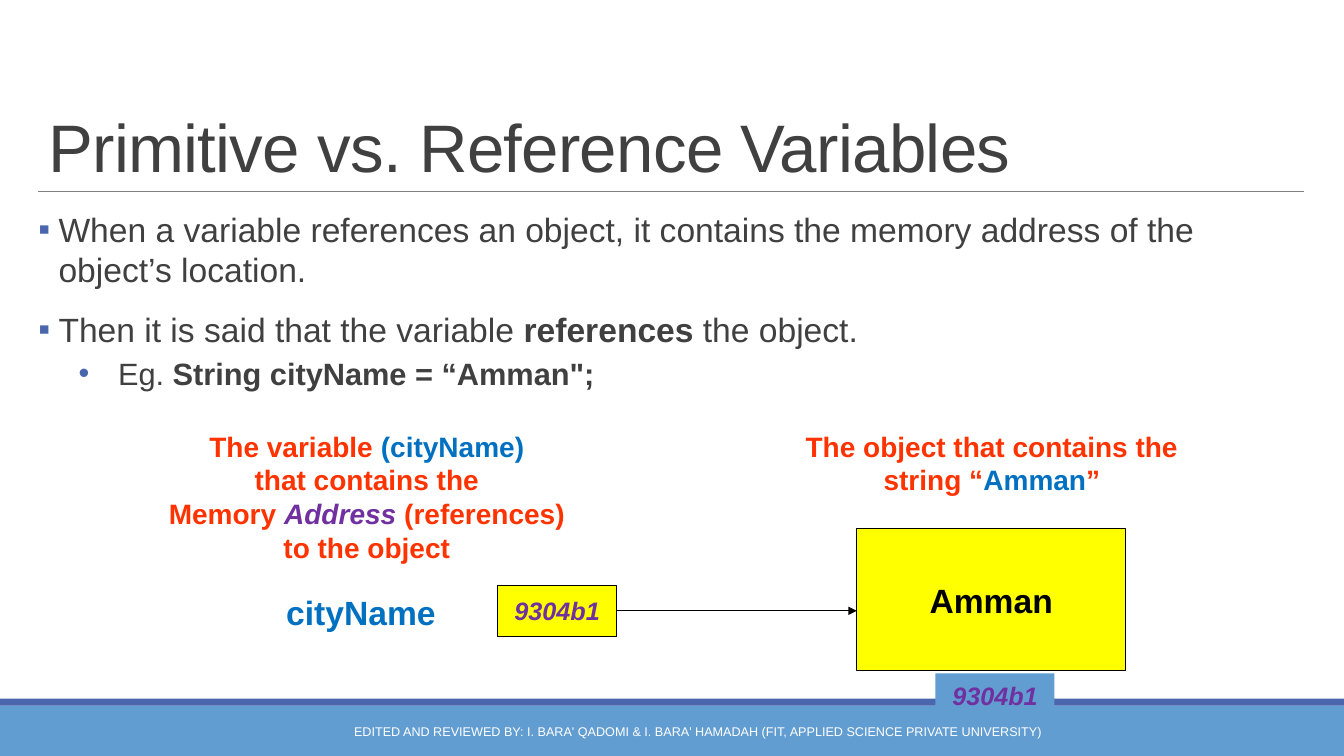
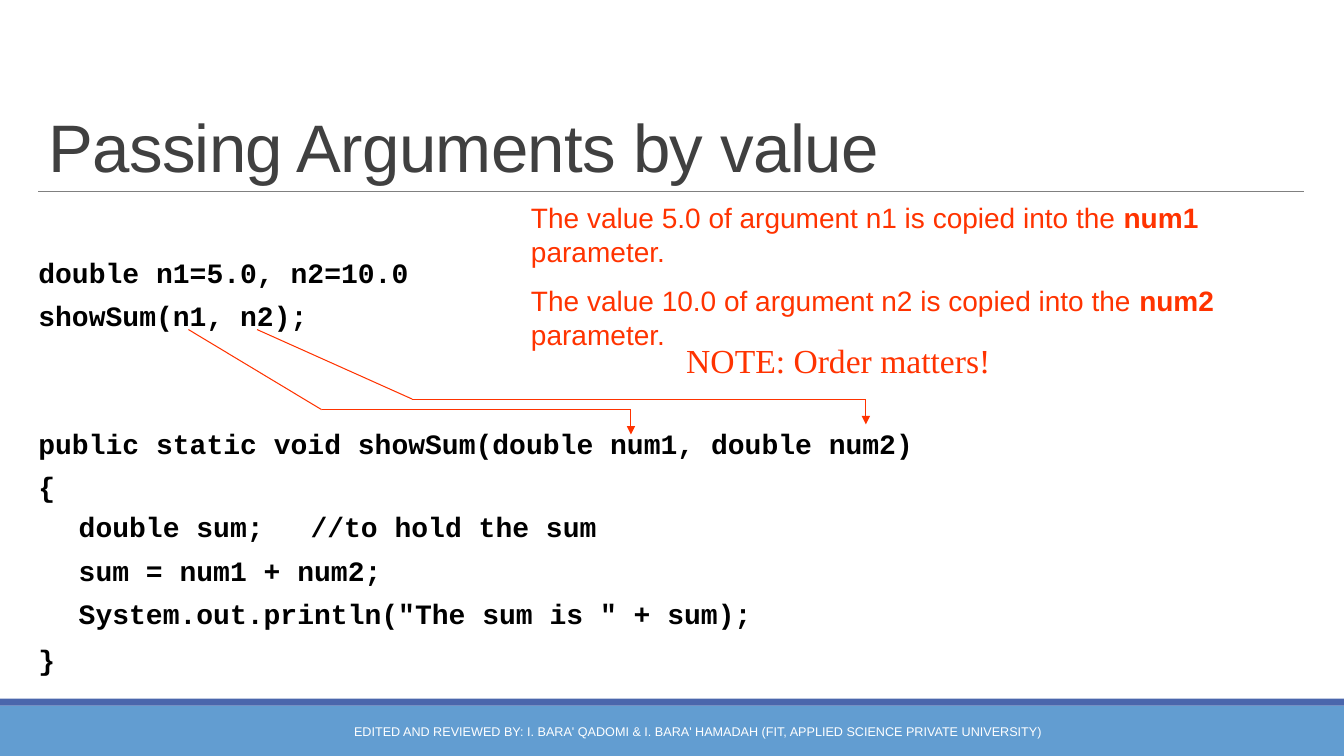
from dataclasses import dataclass
from functools import partial
from itertools import pairwise
from typing import Optional, Sequence

from lxml.etree import SubElement
from pptx import Presentation
from pptx.dml.color import RGBColor
from pptx.enum.shapes import MSO_CONNECTOR as Connector, MSO_SHAPE as Preset
from pptx.enum.text import MSO_ANCHOR as Anchor, MSO_AUTO_SIZE as AutoSize, PP_ALIGN as Align
from pptx.oxml.ns import qn
from pptx.util import Pt


@dataclass(frozen=True)
class Theme:
    blue: str = "629DD1"
    indigo: str = "4A66AC"
    gray: str = "808080"
    ink: str = "404040"
    black: str = "000000"
    white: str = "FFFFFF"
    yellow: str = "FFFF00"
    red: str = "FF3300"
    name: str = "0070C0"
    address: str = "7030A0"
    sans: str = "Arial"
    serif: str = "Times New Roman"
    mono: str = "Courier New"
    title_size: float = 48
    large: float = 24
    medium: float = 22
    text: float = 20
    small: float = 18
    footer: float = 9


THEME = Theme()


@dataclass(frozen=True)
class Area:
    left: float
    top: float
    width: float
    height: float

    def lengths(self) -> tuple:
        return Pt(self.left), Pt(self.top), Pt(self.width), Pt(self.height)


@dataclass(frozen=True)
class Span:
    text: str
    color: Optional[str] = None
    bold: Optional[bool] = None
    italic: Optional[bool] = None


@dataclass(frozen=True)
class Para:
    spans: Sequence[Span]
    size: float
    color: str
    font: str = THEME.sans
    bold: bool = False
    italic: bool = False
    align: Align = Align.LEFT
    spacing: float = 1.0
    before: float = 0
    after: float = 0
    level: int = 0
    margin: float = 0
    indent: float = 0
    bullet: str = ""
    tracking: float = 0


@dataclass(frozen=True)
class Box:
    area: Area
    paras: Sequence[Para]
    wrap: bool = False
    anchor: Anchor = Anchor.TOP
    fill: Optional[str] = None
    line: Optional[str] = None


@dataclass(frozen=True)
class Route:
    points: Sequence[tuple[float, float]]
    color: str
    width: float = 0.75
    arrow: bool = True


Title = partial(Para, size=THEME.title_size, color=THEME.ink, spacing=0.85, tracking=-0.5)
Bullet = partial(Para, size=THEME.large, color=THEME.ink, after=2, margin=14.4, indent=-14.4, bullet="▪")
Caption = partial(Para, size=THEME.text, color=THEME.red, bold=True, align=Align.CENTER)
Label = partial(Para, size=THEME.large, bold=True, align=Align.CENTER)
Code = partial(Para, size=THEME.text, color=THEME.black, font=THEME.mono, bold=True,
               spacing=0.9, before=7, after=2, margin=25.2, indent=-25.2)
Inner = partial(Code, before=5.5, after=4, level=1, margin=50.4, indent=-21.6)
Remark = partial(Para, size=THEME.text, color=THEME.red)

TITLE_AREA = Area(27.4, 22.3, 904.3, 114.5)
RULE = Route([(27.4, 136.8), (931.7, 136.8)], THEME.gray, 0.5, False)
FOOTER = "EDITED AND REVIEWED BY: I. BARA' QADOMI & I. BARA' HAMADAH (FIT, APPLIED SCIENCE PRIVATE UNIVERSITY)"
BANDS = [
    Box(Area(0, 504, 960, 36), [], fill=THEME.blue),
    Box(Area(0, 499, 960, 5), [], fill=THEME.indigo),
    Box(Area(224, 508.3, 548.6, 28.8),
        [Para([Span(FOOTER)], THEME.footer, THEME.white, align=Align.CENTER)],
        wrap=True, anchor=Anchor.MIDDLE),
]


def rgb(color: str) -> RGBColor:
    return RGBColor.from_string(color)


def set_bullet(properties, bullet: str) -> None:
    if not bullet:
        SubElement(properties, qn("a:buNone"))
        return
    tint = SubElement(properties, qn("a:buClr"))
    SubElement(tint, qn("a:srgbClr"), val=THEME.indigo)
    SubElement(properties, qn("a:buFont"), typeface=THEME.sans)
    SubElement(properties, qn("a:buChar"), char=bullet)


def write_para(paragraph, para: Para) -> None:
    paragraph.alignment = para.align
    paragraph.level = para.level
    paragraph.line_spacing = para.spacing
    paragraph.space_before = Pt(para.before)
    paragraph.space_after = Pt(para.after)
    properties = paragraph._p.get_or_add_pPr()
    properties.set("marL", str(Pt(para.margin)))
    properties.set("indent", str(Pt(para.indent)))
    set_bullet(properties, para.bullet)
    font = paragraph.font
    font.name, font.size = para.font, Pt(para.size)
    font.bold, font.italic = para.bold, para.italic
    font.color.rgb = rgb(para.color)
    if para.tracking:
        properties.find(qn("a:defRPr")).set("spc", str(round(para.tracking * 100)))
    for span in para.spans:
        run = paragraph.add_run()
        run.text = span.text
        if span.color:
            run.font.color.rgb = rgb(span.color)
        if span.bold is not None:
            run.font.bold = span.bold
        if span.italic is not None:
            run.font.italic = span.italic


def write_paras(frame, paras: Sequence[Para]) -> None:
    for index, para in enumerate(paras):
        write_para(frame.add_paragraph() if index else frame.paragraphs[0], para)


def draw_box(page, box: Box) -> None:
    if box.fill:
        shape = page.shapes.add_shape(Preset.RECTANGLE, *box.area.lengths())
        shape.shadow.inherit = False
        shape.fill.solid()
        shape.fill.fore_color.rgb = rgb(box.fill)
        if box.line:
            shape.line.color.rgb = rgb(box.line)
            shape.line.width = Pt(0.75)
        else:
            shape.line.fill.background()
    else:
        shape = page.shapes.add_textbox(*box.area.lengths())
    frame = shape.text_frame
    frame.word_wrap = box.wrap
    frame.vertical_anchor = box.anchor
    write_paras(frame, box.paras)


def draw_route(page, route: Route) -> None:
    segments = list(pairwise(route.points))
    for index, (start, end) in enumerate(segments, 1):
        line = page.shapes.add_connector(Connector.STRAIGHT, *map(Pt, start + end))
        line.line.color.rgb = rgb(route.color)
        line.line.width = Pt(route.width)
        properties = line._element.spPr
        if route.arrow and index == len(segments):
            SubElement(properties.find(qn("a:ln")), qn("a:tailEnd"), type="triangle")
        SubElement(properties, qn("a:effectLst"))


def fill_placeholder(holder, area: Area, paras: Sequence[Para], anchor: Anchor) -> None:
    holder.left, holder.top, holder.width, holder.height = area.lengths()
    frame = holder.text_frame
    frame.auto_size = AutoSize.NONE
    frame.word_wrap = True
    frame.vertical_anchor = anchor
    write_paras(frame, paras)


def add_page(deck, title: str, body_top: float, body: Sequence[Para],
             boxes: Sequence[Box], routes: Sequence[Route]) -> None:
    page = deck.slides.add_slide(deck.slide_layouts[1])
    fill_placeholder(page.shapes.title, TITLE_AREA, [Title([Span(title)])], Anchor.BOTTOM)
    holder = page.placeholders[1]
    fill_placeholder(holder, Area(27.4, body_top, 904.3, 316.8), body, Anchor.TOP)
    holder.text_frame.margin_left = holder.text_frame.margin_right = Pt(0)
    for box in [*BANDS, *boxes]:
        draw_box(page, box)
    for route in [RULE, *routes]:
        draw_route(page, route)


def add_reference_page(deck) -> None:
    body = [
        Bullet([Span("When a variable references an object, it contains the memory address of the object’s location.")]),
        Bullet([Span("Then it is said that the variable "), Span("references", bold=True), Span(" the object.")],
               before=12),
        Bullet([Span("Eg. "), Span("String cityName = “Amman\";", bold=True)], size=THEME.medium,
               before=2, after=4, level=1, margin=56.9, indent=-28.1, bullet="•"),
    ]
    variable = [
        Caption([Span("The variable "), Span("(cityName)", THEME.name)]),
        Caption([Span("that contains the")]),
        Caption([Span("Memory "), Span("Address", THEME.address, italic=True), Span(" (references)")]),
        Caption([Span("to the object")]),
    ]
    target = [
        Caption([Span("The object that contains the")]),
        Caption([Span("string “"), Span("Amman", THEME.name), Span("”")]),
    ]
    address = [Label([Span("9304b1")], size=THEME.small, color=THEME.address, italic=True)]
    filled = partial(Box, anchor=Anchor.MIDDLE)
    boxes = [
        Box(Area(109.4, 303.1, 305.3, 104.4), variable),
        Box(Area(196.6, 419, 122.4, 36), [Label([Span("cityName")], color=THEME.name)]),
        filled(Area(612, 377.3, 192, 102), [Label([Span("Amman")], color=THEME.black)],
               fill=THEME.yellow, line=THEME.black),
        filled(Area(355.4, 418.1, 85, 36.5), address, fill=THEME.yellow, line=THEME.black),
        Box(Area(567.4, 303.1, 282.2, 55.4), target),
        filled(Area(668.2, 481, 85, 31.7), address, fill=THEME.blue),
    ]
    add_page(deck, "Primitive vs. Reference Variables", 145.4, body, boxes,
             [Route([(440.4, 436.3), (612, 436.3)], THEME.black)])


def add_arguments_page(deck) -> None:
    body = [
        Code([Span("double n1=5.0, n2=10.0")], before=0),
        Code([Span("showSum(n1, n2);")]),
        Code([Span("public static void showSum(double num1, double num2)")], before=68),
        Code([Span("{")]),
        Inner([Span("double sum;\t//to hold the sum")]),
        Inner([Span("sum = num1 + num2;")]),
        Inner([Span("System.out.println(\"The sum is \" + sum);")]),
        Code([Span("}")]),
    ]
    copies = [
        Remark([Span(f"The value {value} of argument {argument} is copied into the "),
                Span(parameter, bold=True), Span(" parameter.")], before=before)
        for value, argument, parameter, before in
        [("5.0", "n1", "num1", 0), ("10.0", "n2", "num2", 11.5)]
    ]
    note = [Remark([Span("NOTE: Order matters!")], size=THEME.large, font=THEME.serif)]
    boxes = [
        Box(Area(372.2, 139.7, 565.2, 116.6), copies, wrap=True),
        Box(Area(483.1, 239, 311.8, 36), note, wrap=True),
    ]
    routes = [
        Route([(134.6, 235.4), (229.7, 292.6), (450.7, 292.6), (450.7, 310.3)], THEME.red),
        Route([(183.6, 235.4), (294.5, 285.1), (618.5, 285.1), (618.5, 303.1)], THEME.red),
    ]
    add_page(deck, "Passing Arguments by value", 181.4, body, boxes, routes)


def main() -> None:
    deck = Presentation()
    deck.slide_width, deck.slide_height = Pt(960), Pt(540)
    add_reference_page(deck)
    add_arguments_page(deck)
    deck.save("out.pptx")


if __name__ == "__main__":
    main()
